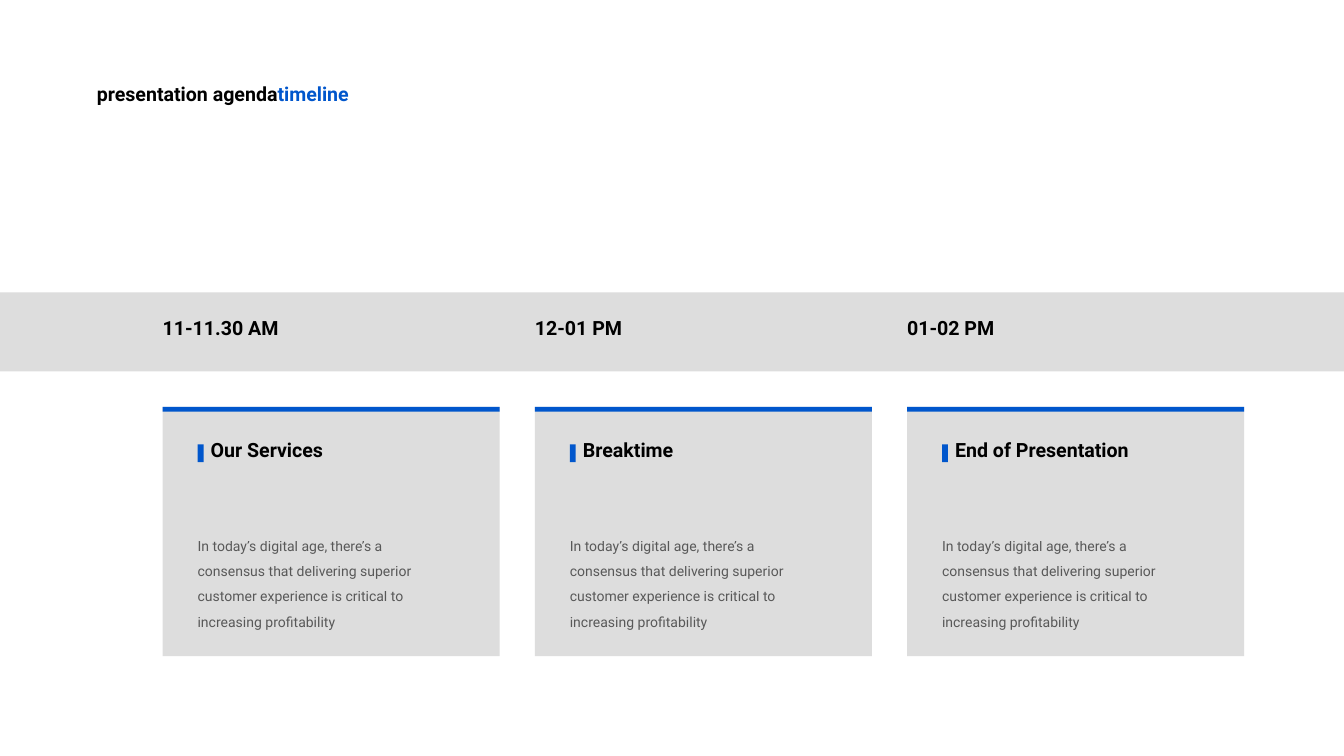
from lxml import etree
from pptx import Presentation
from pptx.dml.color import RGBColor
from pptx.enum.shapes import MSO_SHAPE
from pptx.enum.text import MSO_ANCHOR, MSO_AUTO_SIZE, PP_ALIGN
from pptx.oxml.ns import qn
from pptx.util import Cm, Pt

BLACK, BLUE, GREY = "000000", "0056CC", "DDDDDD"

prs = Presentation()
prs.slide_width, prs.slide_height = Cm(67.74), Cm(38.1)
slide = prs.slides.add_slide(prs.slide_layouts[5])


def add_bar(left, top, width, height, color):
    """Draw a plain filled rectangle, measured in centimetres."""
    bar = slide.shapes.add_shape(
        MSO_SHAPE.RECTANGLE, Cm(left), Cm(top), Cm(width), Cm(height))
    bar.shadow.inherit = False
    bar.fill.solid()
    bar.fill.fore_color.rgb = RGBColor.from_string(color)
    bar.line.fill.background()


def write_text(shape, box, runs, size=28, bold=True, spacing=0.8, opacity=100):
    """Place a text shape at box (cm) and fill it with (text, color) runs."""
    shape.left, shape.top, shape.width, shape.height = [Cm(v) for v in box]
    frame = shape.text_frame
    frame.word_wrap = True
    frame.auto_size = MSO_AUTO_SIZE.NONE
    frame.vertical_anchor = MSO_ANCHOR.TOP
    frame.margin_left = frame.margin_right = 0
    frame.margin_top = frame.margin_bottom = 0
    paragraph = frame.paragraphs[0]
    paragraph.alignment = PP_ALIGN.LEFT
    paragraph.line_spacing = spacing
    for text, color in runs:
        run = paragraph.add_run()
        run.text = text
        run.font.name, run.font.size, run.font.bold = "Roboto", Pt(size), bold
        run.font.color.rgb = RGBColor.from_string(color)
        if opacity < 100:
            for rgb in run.font.fill._xPr.iter(qn("a:srgbClr")):
                etree.SubElement(rgb, qn("a:alpha"), val=str(opacity * 1000))


write_text(slide.shapes.title, (4.88, 4.37, 19.3, 7.32),
           [("presentation agenda", BLACK), ("timeline", BLUE)])

# Time band across the slide
add_bar(0, 14.73, 67.74, 3.99, GREY)

# One column per agenda item
FIRST_LEFT, PITCH = 8.2, 18.76
CARD_TOP, CARD_WIDTH, CARD_HEIGHT, PADDING = 20.5, 16.99, 12.57, 1.76
DESCRIPTION = ("In today’s digital age, there’s a consensus that delivering "
               "superior customer experience is critical to increasing "
               "profitability")
agenda = [
    ("11-11.30 AM", "Our Services"),
    ("12-01 PM", "Breaktime"),
    ("01-02 PM", "End of Presentation"),
]

for index, (time, heading) in enumerate(agenda):
    left = FIRST_LEFT + index * PITCH
    inner = left + PADDING
    add_bar(left, CARD_TOP, CARD_WIDTH, CARD_HEIGHT, GREY)
    add_bar(left, CARD_TOP, CARD_WIDTH, 0.25, BLUE)
    add_bar(inner, 22.4, 0.3, 0.89, BLUE)

    time_box, heading_box, description_box = [
        slide.shapes.add_textbox(0, 0, 0, 0) for _ in range(3)]
    write_text(time_box, (left, 16.15, 6.5, 1.17), [(time, BLACK)])
    write_text(heading_box, (inner + 0.66, 22.28, 10.72, 1.17),
               [(heading, BLACK)])
    write_text(description_box, (inner, 26.67, 11.02, 4.65),
               [(DESCRIPTION, BLACK)], size=20, bold=False, spacing=1.5,
               opacity=60)

prs.save("out.pptx")
